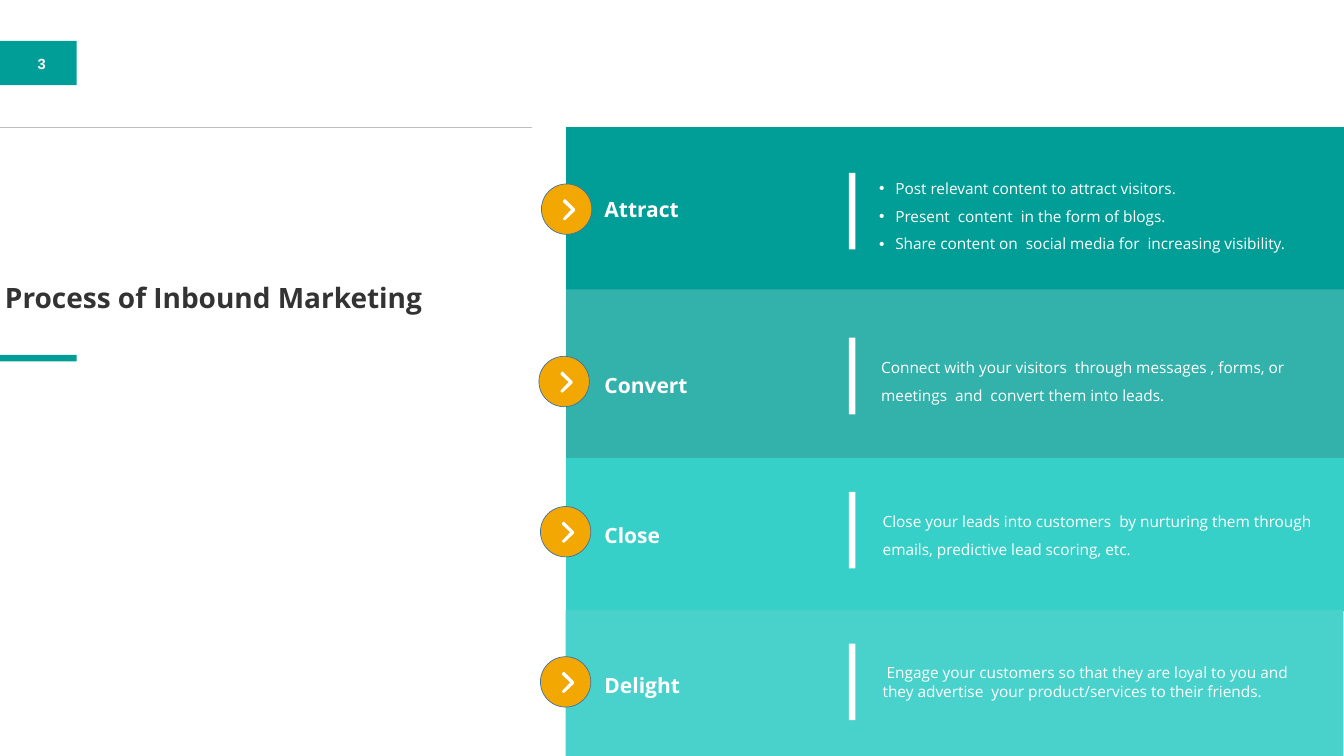
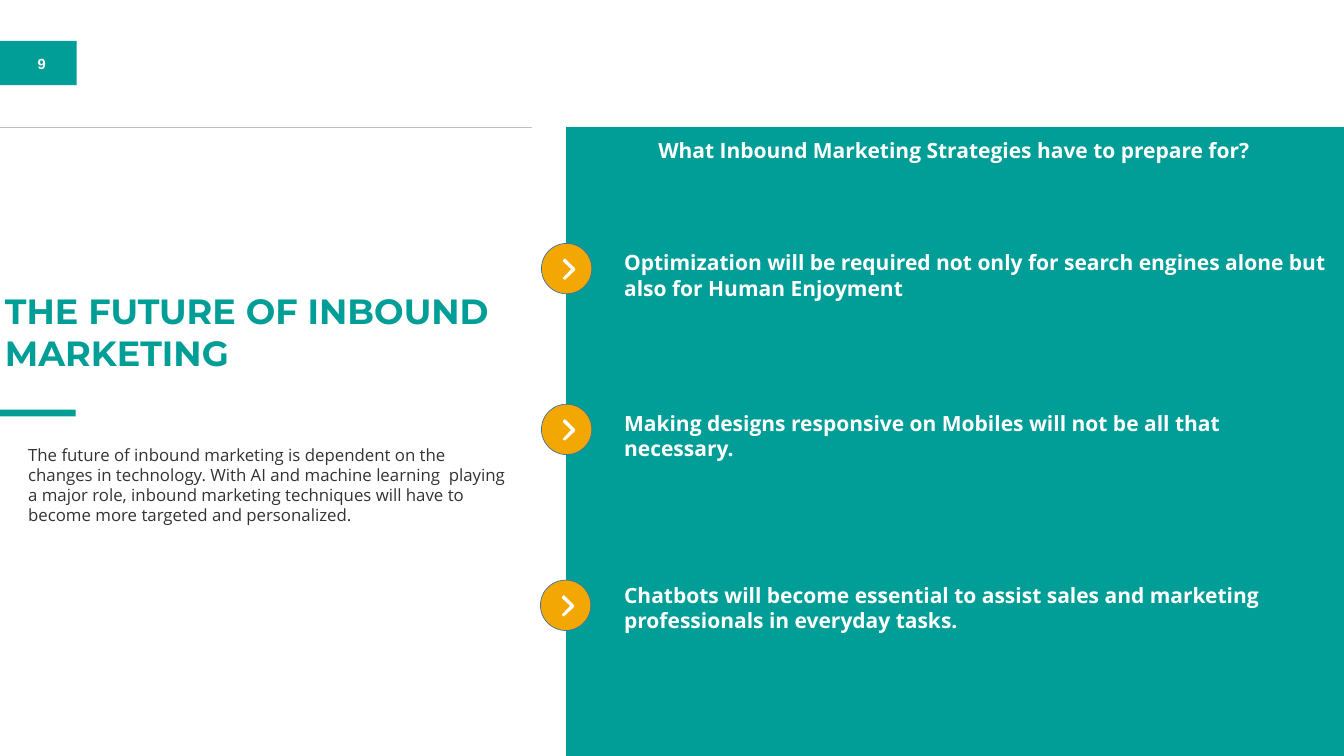
import pptx
import pptx.util
import pptx.dml.color
import pptx.enum.shapes
import pptx.enum.text
import pptx.oxml
import pptx.oxml.ns

Inches = pptx.util.Inches
Pt = pptx.util.Pt
RGB = pptx.dml.color.RGBColor.from_string
MSO_SHAPE = pptx.enum.shapes.MSO_SHAPE
ALIGN = pptx.enum.text.PP_ALIGN
AUTO_SIZE = pptx.enum.text.MSO_AUTO_SIZE
DRAWING = pptx.oxml.ns.nsdecls("a")

COLORS = {
    "teal": "009E96", "turquoise": "37D0C8", "aqua": "48D2CB",
    "amber": "F2A702", "outline": "41719C", "rule": "BFBFBF",
    "white": "FFFFFF", "ink": "333333",
}
FORMATS = {
    "number": {"name": "Arial", "size": Pt(21), "bold": True},
    "title": {"name": "Open Sans", "size": Pt(40), "bold": True},
    "capital title": {"name": "Montserrat", "size": Pt(50), "bold": True},
    "heading": {"name": "Open Sans", "size": Pt(30), "bold": True},
    "detail": {"name": "Open Sans", "size": Pt(22), "bold": False},
    "summary": {"name": "Open Sans", "size": Pt(24), "bold": False},
}
WIDE, NARROW = (0.2, 0.1), (0.1, 0.05)  # text insets: sides, top and bottom

# Right-pointing arrow outline, in hundredths of an inch
ARROW = [(0, 6), (16, 21), (0, 38), (0, 40), (3, 42), (5, 41), (23, 24),
         (24, 21), (23, 19), (5, 1), (3, 0), (0, 3)]


def add_block(slide, kind, box, color, outline=None):
    block = slide.shapes.add_shape(kind, *map(Inches, box))
    block.shadow.inherit = False
    block.fill.solid()
    block.fill.fore_color.rgb = RGB(COLORS[color])
    if outline:
        block.line.color.rgb = RGB(COLORS[outline])
        block.line.width = Pt(1)
    else:
        block.line.fill.background()
    return block


def add_text(slide, box, lines, style, color="white", insets=WIDE,
             spacing=None, align=None):
    frame = slide.shapes.add_textbox(*map(Inches, box)).text_frame
    side, edge = map(Inches, insets)
    layout = {"word_wrap": True, "auto_size": AUTO_SIZE.NONE,
              "margin_left": side, "margin_right": side,
              "margin_top": edge, "margin_bottom": edge}
    for key, value in layout.items():
        setattr(frame, key, value)
    frame.text = "\n".join(lines)
    for paragraph in frame.paragraphs:
        paragraph.line_spacing = spacing
        paragraph.alignment = align
        for run in paragraph.runs:
            for key, value in FORMATS[style].items():
                setattr(run.font, key, value)
            run.font.color.rgb = RGB(COLORS[color])
    return frame


deck = pptx.Presentation()
deck.slide_width, deck.slide_height = Inches(26.66), Inches(15)

# Frame of each slide: bands are (left, top, height, colour, opacity %),
# markers are (left, top) of the round arrow buttons
frames = [
    {"number": "3", "accent": (0, 7.04),
     "bands": [(11.23, 2.52, 3.22, "teal", 100), (11.23, 5.2, 3.89, "teal", 80),
               (11.23, 9.09, 3.04, "turquoise", 100),
               (11.22, 12.1, 2.9, "aqua", 100)],
     "markers": [(10.74, 3.65), (10.69, 7.07), (10.72, 10.05), (10.72, 13.03)]},
    {"number": "9", "accent": (-0.02, 8.13),
     "bands": [(11.23, 2.52, 12.48, "teal", 100)],
     "markers": [(10.74, 4.83), (10.74, 8.02), (10.72, 11.51)]},
]
slides = []
for frame in frames:
    slide = deck.slides.add_slide(deck.slide_layouts[6])
    slides.append(slide)

    # Number badge
    add_block(slide, MSO_SHAPE.RECTANGLE, (0, 0.81, 1.52, 0.88), "teal")
    add_text(slide, (-0.08, 0.98, 1.81, 0.55), [frame["number"]], "number",
             align=ALIGN.CENTER)

    # Colour bands on the right
    for left, top, height, color, opacity in frame["bands"]:
        band = add_block(slide, MSO_SHAPE.RECTANGLE,
                         (left, top, 15.43, height), color)
        if opacity < 100:
            tint = band.fill._xPr.find(".//" + pptx.oxml.ns.qn("a:srgbClr"))
            tint.append(pptx.oxml.parse_xml(
                f'<a:alpha {DRAWING} val="{opacity * 1000}"/>'))

    # Thin rule and title accent
    rule = slide.shapes.add_connector(
        pptx.enum.shapes.MSO_CONNECTOR.STRAIGHT,
        Inches(10.55), Inches(2.52), Inches(0), Inches(2.52))
    rule.line.color.rgb = RGB(COLORS["rule"])
    rule.line.width = Pt(0.5)
    rule._element.spPr.append(pptx.oxml.parse_xml(f"<a:effectLst {DRAWING}/>"))
    add_block(slide, MSO_SHAPE.RECTANGLE, (*frame["accent"], 1.52, 0.13), "teal")

    # Round arrow markers
    for left, top in frame["markers"]:
        add_block(slide, MSO_SHAPE.OVAL, (left, top, 1, 1), "amber", "outline")
        outline = slide.shapes.build_freeform(*ARROW[0], scale=Inches(0.01))
        outline.add_line_segments(ARROW[1:], close=True)
        arrow = outline.convert_to_shape(Inches(left + 0.43), Inches(top + 0.3))
        arrow.shadow.inherit = False
        arrow.fill.solid()
        arrow.fill.fore_color.rgb = RGB(COLORS["white"])
        arrow.line.fill.background()

process, future = slides

# Process of inbound marketing: title and four stages
add_text(process, (0, 5.51, 9.34, 0.77), ["Process of Inbound Marketing"],
         "title", "ink", NARROW)

# Stage, heading top, divider top, detail box, line spacing, detail lines
stages = [
    ("Attract", 3.64, 3.43, (17.34, 3.32, 8.98, 1.75), 1.5,
     ["Post relevant content to attract visitors.",
      "Present  content  in the form of blogs.",
      "Share content on  social media for  increasing visibility."]),
    ("Convert", 7.14, 6.7, (17.38, 6.88, 8.97, 1.2), 1.5,
     ["Connect with your visitors  through messages , forms, or meetings  "
      "and  convert them into leads."]),
    ("Close", 10.11, 9.76, (17.41, 9.93, 8.91, 1.2), 1.5,
     ["Close your leads into customers  by nurturing them through emails, "
      "predictive lead scoring, etc."]),
    ("Delight", 13.1, 12.77, (17.41, 13.11, 8.91, 0.84), None,
     ["Engage your customers so that they are loyal to you and they "
      "advertise  your product/services to their friends."]),
]
for stage, heading_top, divider_top, box, spacing, lines in stages:
    add_text(process, (11.79, heading_top, 5, 0.87), [stage], "heading",
             spacing=1.3)
    add_block(process, MSO_SHAPE.RECTANGLE, (16.84, divider_top, 0.13, 1.52),
              "white")
    detail = add_text(process, box, lines, "detail", insets=NARROW,
                      spacing=spacing)
    if stage == "Attract":
        for paragraph in detail.paragraphs:
            properties = paragraph._p.get_or_add_pPr()
            properties.set("marL", str(Inches(0.32)))
            properties.set("indent", str(Inches(-0.32)))
            for bullet in ('buClr {}><a:srgbClr val="FFFFFF"/></a:buClr>',
                           'buFont {} typeface="Arial"/>',
                           'buChar {} char="•"/>'):
                properties.append(
                    pptx.oxml.parse_xml("<a:" + bullet.format(DRAWING)))
    if stage == "Delight":
        properties = detail.paragraphs[0]._p.get_or_add_pPr()
        properties.set("indent", str(Inches(0.08)))

# The future of inbound marketing: title, summary and strategies
add_text(future, (0, 5.69, 10.61, 1.77), ["THE FUTURE OF INBOUND MARKETING"],
         "capital title", "teal", NARROW)
add_text(future, (0.46, 8.77, 9.74, 1.7),
         ["The future of inbound marketing is dependent on the changes in "
          "technology. With AI and machine learning  playing a major role, "
          "inbound marketing techniques will have to become more targeted "
          "and personalized."], "summary", "ink", NARROW)
add_text(future, (11.19, 2.62, 15.47, 0.73),
         ["What Inbound Marketing Strategies have to prepare for?"],
         "heading", align=ALIGN.CENTER)
strategies = [
    (4.86, "Optimization will be required not only for search engines alone "
           "but also for Human Enjoyment"),
    (8.04, "Making designs responsive on Mobiles will not be all that necessary."),
    (11.46, "Chatbots will become essential to assist sales and marketing "
            "professionals in everyday tasks."),
]
for top, strategy in strategies:
    add_text(future, (12.18, top, 14.48, 0.88), [strategy], "heading")

deck.save("out.pptx")
